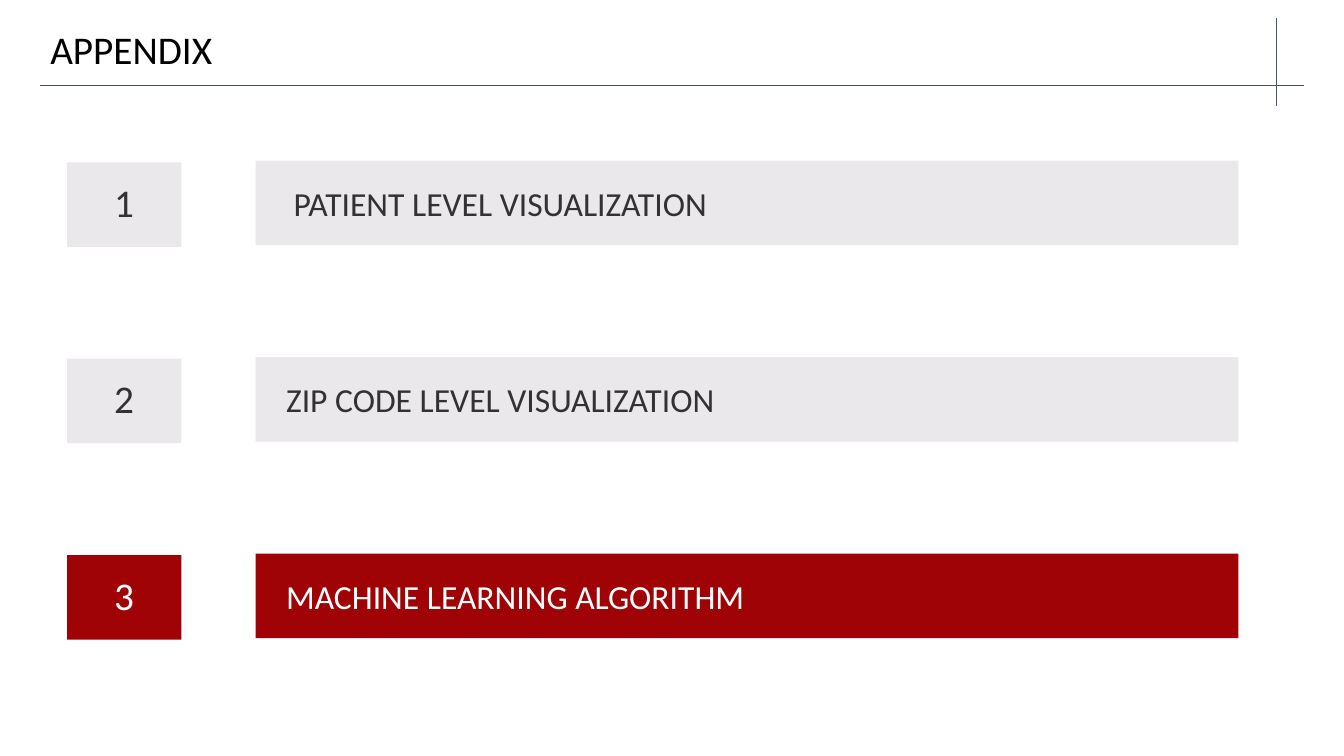
from lxml.etree import SubElement
from pptx import Presentation
from pptx.dml.color import RGBColor
from pptx.enum.shapes import MSO_CONNECTOR, MSO_SHAPE
from pptx.enum.text import MSO_ANCHOR, PP_ALIGN
from pptx.oxml.ns import qn
from pptx.util import Cm, Pt

FONT = "Calibri"
SLATE, GREY, INK = "44546A", "EAE8EB", "323232"
RED, WHITE, BLACK = "A00305", "FFFFFF", "000000"
ROW_PITCH = 4.95


def colour(code):
    """Turn a hex string into a colour."""
    return RGBColor.from_string(code)


def write(shape, text, size, ink, align=PP_ALIGN.LEFT, spacing=1.0, insets=(0, 0)):
    """Put one vertically centred line of text into a shape."""
    frame = shape.text_frame
    frame.word_wrap = True
    frame.vertical_anchor = MSO_ANCHOR.MIDDLE
    frame.margin_left = Cm(insets[0])
    frame.margin_right = frame.margin_top = frame.margin_bottom = Cm(insets[1])
    para = frame.paragraphs[0]
    para.alignment = align
    para.line_spacing = spacing
    span = para.add_run()
    span.text = text
    span.font.name = FONT
    span.font.size = Pt(size)
    span.font.color.rgb = colour(ink)


def add_rule(page, x1, y1, x2, y2):
    """Draw a thin slate line."""
    rule = page.shapes.add_connector(
        MSO_CONNECTOR.STRAIGHT, Cm(x1), Cm(y1), Cm(x2), Cm(y2))
    rule.line.color.rgb = colour(SLATE)
    rule.line.width = Pt(0.75)
    SubElement(rule._element.spPr, qn("a:effectLst"))


def add_block(page, left, top, width, height, fill):
    """Draw a flat filled rectangle."""
    block = page.shapes.add_shape(
        MSO_SHAPE.RECTANGLE, Cm(left), Cm(top), Cm(width), Cm(height))
    block.shadow.inherit = False
    block.fill.solid()
    block.fill.fore_color.rgb = colour(fill)
    block.line.fill.background()
    return block


def add_header(page, left, top, width, height, title):
    """Place the title and the crossing rules at its lower right corner."""
    right, bottom = left + width, top + height
    add_rule(page, left, bottom, right + 0.69, bottom)
    add_rule(page, right, top, right, bottom + 0.51)
    box = page.shapes.add_textbox(Cm(left), Cm(top), Cm(width), Cm(height))
    write(box, title, 28, BLACK, spacing=0.9, insets=(0.25, 0.13))


def add_agenda_row(page, left, top, width, height, number, title, indent, fill, ink):
    """Place a number tile and its title bar."""
    offset = 4.75
    bar = add_block(page, left + offset, top, width - offset, height, fill)
    write(bar, title, 24, ink, insets=(indent, 0))
    tile = add_block(page, left, top + 0.04, 2.88, height, fill)
    write(tile, str(number), 28, ink, PP_ALIGN.CENTER, 0.9)


def main():
    """Build the appendix agenda slide."""
    deck = Presentation()
    deck.slide_width, deck.slide_height = Cm(33.87), Cm(19.05)
    page = deck.slides.add_slide(deck.slide_layouts[6])
    add_header(page, 1.02, 0.46, 31.16, 1.7, "APPENDIX")
    rows = [
        ("PATIENT LEVEL VISUALIZATION", 0.96, GREY, INK),
        ("ZIP CODE LEVEL VISUALIZATION", 0.77, GREY, INK),
        ("MACHINE LEARNING ALGORITHM", 0.77, RED, WHITE),
    ]
    for index, row in enumerate(rows):
        add_agenda_row(page, 1.69, 4.05 + index * ROW_PITCH, 29.52, 2.13,
                       index + 1, *row)
    deck.save("out.pptx")


if __name__ == "__main__":
    main()
